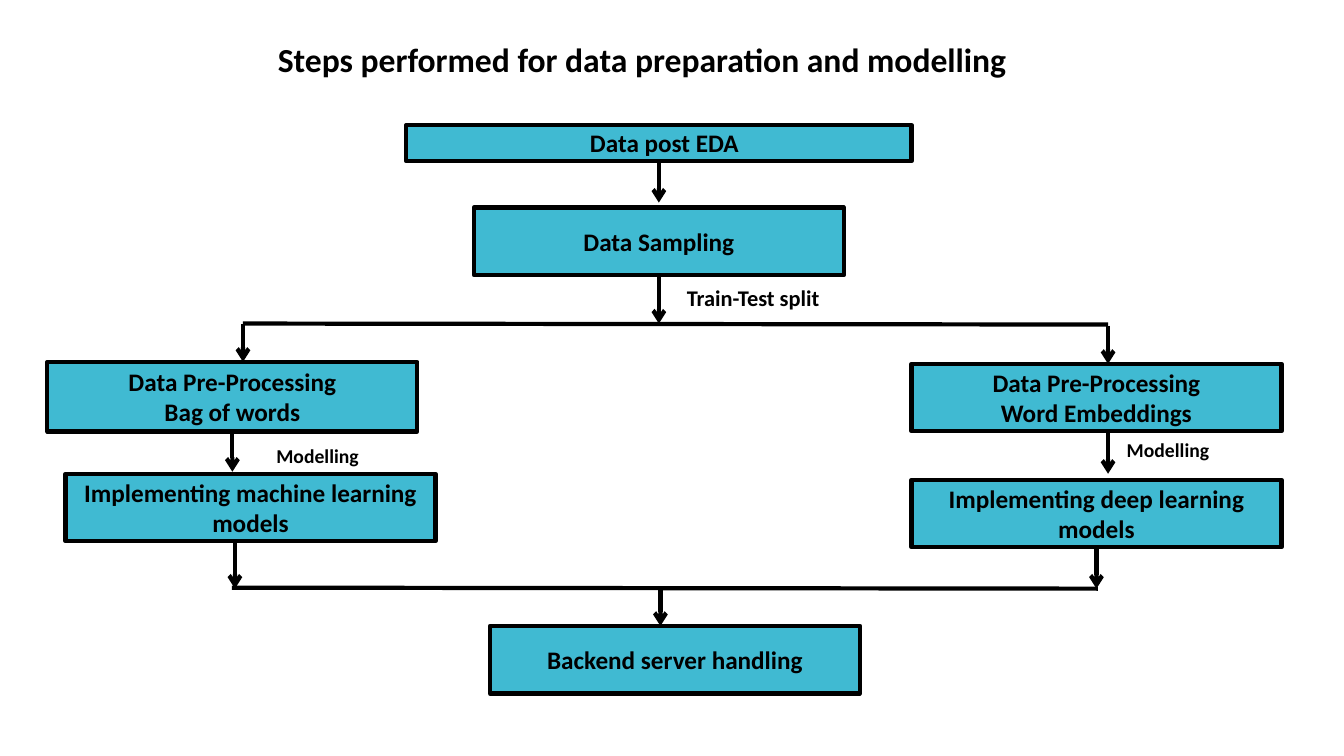
from lxml.etree import SubElement
from pptx import Presentation
from pptx.dml.color import RGBColor as RGB
from pptx.enum.shapes import MSO_CONNECTOR as LINK, MSO_SHAPE as SHAPE
from pptx.enum.text import MSO_ANCHOR as ANCHOR, PP_ALIGN as ALIGN
from pptx.oxml.ns import qn
from pptx.util import Inches, Pt

COLORS = {"box": "40BAD2", "ink": "000000"}
BOX_W, BOX_H = 3.67, 0.67
BOTTOM = 2


def color(name):
    return RGB.from_string(COLORS[name])


def write(shape, text, size, anchor):
    frame = shape.text_frame
    frame.word_wrap = True
    frame.vertical_anchor = anchor
    frame.text = text
    style = {"name": "Calibri", "size": Pt(size), "bold": True}
    for para in frame.paragraphs:
        para.alignment = ALIGN.CENTER
        for run in para.runs:
            for key, value in style.items():
                setattr(run.font, key, value)
            run.font.color.rgb = color("ink")


def add_label(slide, text, left, top, width, height, size):
    label = slide.shapes.add_textbox(*map(Inches, (left, top, width, height)))
    write(label, text, size, ANCHOR.TOP)


def add_box(slide, text, left, top, width=BOX_W, height=BOX_H):
    box = slide.shapes.add_shape(
        SHAPE.RECTANGLE, *map(Inches, (left, top, width, height)))
    box.shadow.inherit = False
    box.fill.solid()
    box.fill.fore_color.rgb = color("box")
    box.line.color.rgb = color("ink")
    box.line.width = Pt(3)
    if text:
        write(box, text, 18, ANCHOR.MIDDLE)
    return box


def add_line(slide, start, end, arrow=False):
    line = slide.shapes.add_connector(LINK.STRAIGHT, *start, *end)
    line.line.color.rgb = color("ink")
    line.line.width = Pt(3)
    if arrow:
        SubElement(line.line._get_or_add_ln(), qn("a:tailEnd"), type="arrow")
    SubElement(line._element.spPr, qn("a:effectLst"))
    return line


def add_drop(slide, x, top, bottom):
    x = Inches(x)
    add_line(slide, (x, Inches(top)), (x, Inches(bottom)), True)


def add_exit(slide, box, bottom):
    """Arrow straight down from the middle of a box's lower side."""
    x = box.left + box.width // 2
    line = add_line(slide, (x, box.top + box.height), (x, Inches(bottom)), True)
    line.begin_connect(box, BOTTOM)


def add_bar(slide, left, right, start, end):
    add_line(slide, (Inches(left), Inches(start)), (Inches(right), Inches(end)))


def main():
    deck = Presentation()
    deck.slide_width, deck.slide_height = Inches(13.33), Inches(7.5)
    slide = deck.slides.add_slide(deck.slide_layouts[6])

    # Title
    add_label(slide, "Steps performed for data preparation and modelling",
              2.3, 0.34, 8.14, 0.5, 24)

    # Steps
    source = add_box(slide, "", 4.03, 1.24, 5.01, 0.36)
    add_label(slide, "Data post EDA", 5.05, 1.21, 3.08, 0.4, 18)
    sample = add_box(slide, "Data Sampling", 4.7, 2.06)
    words = add_box(slide, "Data Pre-Processing\nBag of words",
                    0.47, 3.59, height=0.69)
    add_box(slide, "Data Pre-Processing\nWord Embeddings", 9.04, 3.61)
    add_box(slide, "Implementing machine learning models", 0.65, 4.7)
    deep = add_box(slide, "Implementing deep learning models", 9.04, 4.76)
    add_box(slide, "Backend server handling", 4.86, 6.21)

    # Arrows that leave a box at its middle
    for box, bottom in ((source, 2.01), (sample, 3.21),
                        (words, 4.68), (deep, 5.84)):
        add_exit(slide, box, bottom)

    # Other arrows
    for x, top, bottom in ((2.41, 3.21, 3.59), (10.99, 3.23, 3.61),
                           (10.99, 4.3, 4.7), (2.33, 5.38, 5.84),
                           (6.55, 5.84, 6.21)):
        add_drop(slide, x, top, bottom)

    # Split and merge bars
    add_bar(slide, 2.41, 10.99, 3.21, 3.22)
    add_bar(slide, 2.3, 10.89, 5.83, 5.84)

    # Arrow labels
    add_label(slide, "Train-Test split", 5.58, 2.77, 3.78, 0.37, 16)
    add_label(slide, "Modelling", 1.26, 4.35, 3.78, 0.34, 14)
    add_label(slide, "Modelling", 10.3, 4.3, 2.57, 0.34, 14)

    deck.save("out.pptx")


if __name__ == "__main__":
    main()
